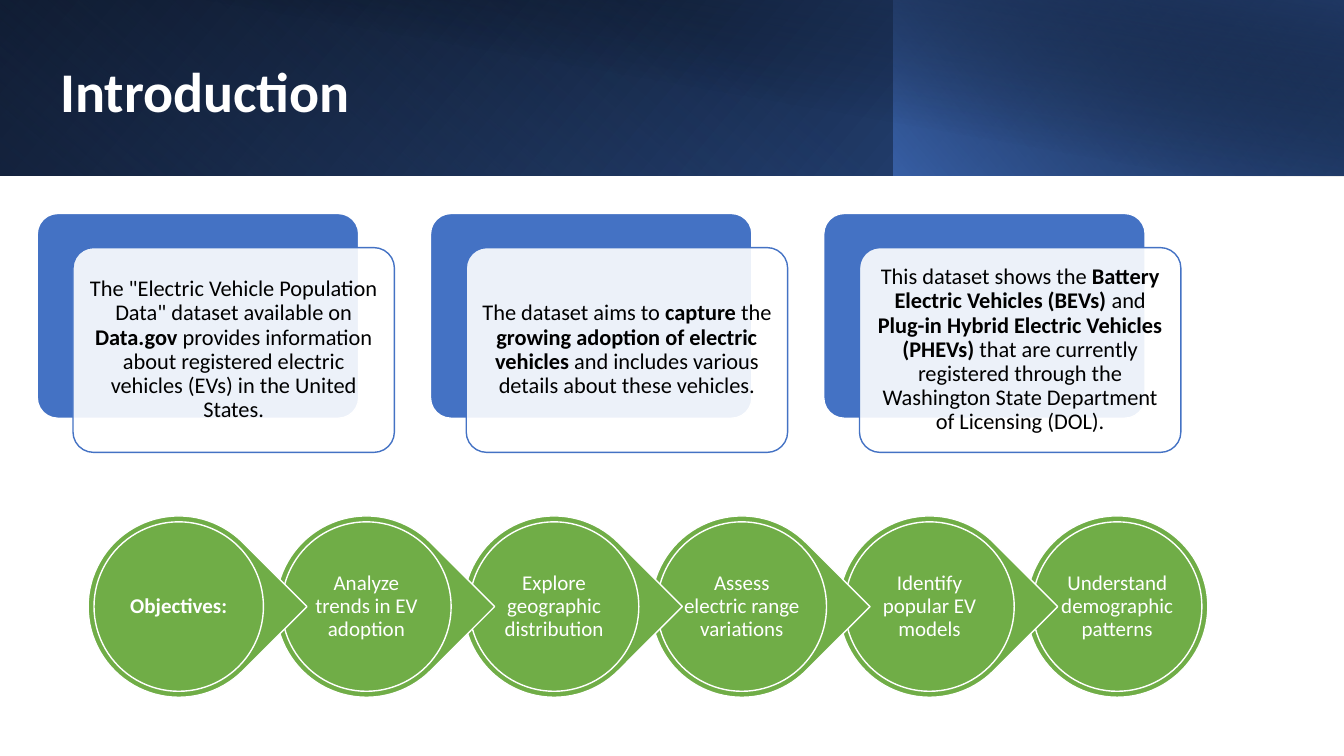
from dataclasses import dataclass

from lxml.etree import SubElement
from pptx import Presentation
from pptx.dml.color import RGBColor
from pptx.enum.shapes import MSO_SHAPE
from pptx.enum.text import MSO_ANCHOR, PP_ALIGN
from pptx.oxml.ns import qn
from pptx.util import Cm, Pt

PAGE_WIDTH, PAGE_HEIGHT = 33.87, 19.05
WHITE, BLACK, BLUE, NAVY, GREEN = "FFFFFF", "000000", "4472C4", "203864", "70AD47"


@dataclass(frozen=True)
class Area:
    left: float
    top: float
    width: float
    height: float

    def lengths(self) -> tuple:
        return Cm(self.left), Cm(self.top), Cm(self.width), Cm(self.height)

    def centred(self, size: float) -> "Area":
        """Return a square of the given size with the same centre."""
        return Area(self.left + (self.width - size) / 2,
                    self.top + (self.height - size) / 2, size, size)


@dataclass(frozen=True)
class Stop:
    position: float
    colour: str
    opacity: int = 100


@dataclass(frozen=True)
class Band:
    area: Area
    angle: int
    stops: tuple[Stop, Stop]
    flipped: bool = True
    rotation: int = 0


@dataclass(frozen=True)
class Span:
    text: str
    bold: bool = False


BANNER = [
    Band(Area(0, 0, PAGE_WIDTH, 4.42), 140, (Stop(0, BLACK), Stop(1, "2F5597"))),
    Band(Area(0, 0, 22.55, 4.42), 230, (Stop(0.2, BLUE, 0), Stop(1, NAVY, 55)), rotation=180),
    Band(Area(22.53, 0, 11.34, 4.42), 220, (Stop(0, BLUE, 66), Stop(1, BLACK, 30))),
    Band(Area(1.28, 0, 32.59, 4.45), 280, (Stop(0.5, BLACK, 0), Stop(0.99, NAVY, 52)),
         flipped=False),
]

CARDS = [
    [Span('The "Electric Vehicle Population Data" dataset available on '),
     Span("Data.gov ", True),
     Span("provides information about registered electric vehicles (EVs) in the United States.")],
    [Span("The dataset aims to "), Span("capture", True), Span(" the "),
     Span("growing adoption of electric vehicles ", True),
     Span("and includes various details about these vehicles.")],
    [Span("This dataset shows the "), Span("Battery Electric Vehicles (BEVs)", True),
     Span(" and "), Span("Plug-in Hybrid Electric Vehicles (PHEVs) ", True),
     Span("that are currently registered through the Washington State Department "
          "of Licensing (DOL).")],
]

OBJECTIVES = [
    Span("Objectives:", True),
    Span("Analyze trends in EV adoption"),
    Span("Explore geographic distribution"),
    Span("Assess electric range variations"),
    Span("Identify popular EV models"),
    Span("Understand demographic patterns"),
]


def colour(value: str) -> RGBColor:
    return RGBColor.from_string(value)


def set_opacity(colour_element, percent: int) -> None:
    if percent < 100:
        SubElement(colour_element, qn("a:alpha")).set("val", str(percent * 1000))


def add_band(page, band: Band) -> None:
    shape = page.shapes.add_shape(MSO_SHAPE.RECTANGLE, *band.area.lengths())
    shape.shadow.inherit = False
    shape.rotation = band.rotation
    if band.flipped:
        next(shape.element.iter(qn("a:xfrm"))).set("flipH", "1")
    shape.fill.gradient()
    shape.fill.gradient_angle = 360 - band.angle
    for target, stop in zip(shape.fill.gradient_stops, band.stops):
        target.position = stop.position
        target.color.rgb = colour(stop.colour)
    for element, stop in zip(list(shape.element.iter(qn("a:srgbClr"))), band.stops):
        set_opacity(element, stop.opacity)
    shape.line.fill.background()


def add_figure(page, kind: MSO_SHAPE, area: Area, fill: str, line: str = WHITE,
               opacity: int = 100, adjustment: float | None = None, rotation: int = 0) -> None:
    shape = page.shapes.add_shape(kind, *area.lengths())
    shape.shadow.inherit = False
    shape.rotation = rotation
    if adjustment is not None:
        shape.adjustments[0] = adjustment
    shape.fill.solid()
    shape.fill.fore_color.rgb = colour(fill)
    set_opacity(next(shape.element.iter(qn("a:srgbClr"))), opacity)
    shape.line.color.rgb = colour(line)
    shape.line.width = Pt(1)


def add_text(page, area: Area, spans: list[Span], *, size: int, text_colour: str = WHITE,
             align: PP_ALIGN = PP_ALIGN.CENTER, inset: float = 0.05) -> None:
    box = page.shapes.add_textbox(*area.lengths())
    frame = box.text_frame
    frame.word_wrap = True
    frame.vertical_anchor = MSO_ANCHOR.MIDDLE
    frame.margin_left = frame.margin_right = Cm(inset)
    frame.margin_top = frame.margin_bottom = Cm(inset)
    para = frame.paragraphs[0]
    para.alignment = align
    para.line_spacing = 0.9
    for span in spans:
        run = para.add_run()
        run.text = span.text
        run.font.name = "Calibri"
        run.font.size = Pt(size)
        run.font.bold = span.bold
        run.font.color.rgb = colour(text_colour)


def add_card(page, index: int, spans: list[Span]) -> None:
    left, top, width, height = 0.94 + index * 9.91, 5.38, 8.1, 5.16
    front = Area(left + 0.9, top + 0.86, width, height)
    label = Area(front.left + 0.15, front.top + 0.15, width - 0.3, height - 0.3)
    add_figure(page, MSO_SHAPE.ROUNDED_RECTANGLE, Area(left, top, width, height), BLUE,
               adjustment=0.1)
    add_figure(page, MSO_SHAPE.ROUNDED_RECTANGLE, front, WHITE, BLUE, opacity=90,
               adjustment=0.1)
    add_text(page, label, spans, size=16, text_colour=BLACK, inset=0.17)


def add_objective(page, index: int, span: Span) -> None:
    outer = Area(2.22 + index * 4.73, 13, 4.57, 4.57)
    if index == len(OBJECTIVES) - 1:
        add_figure(page, MSO_SHAPE.OVAL, outer, GREEN)
    else:
        add_figure(page, MSO_SHAPE.TEAR, outer, GREEN, adjustment=1, rotation=45)
    add_figure(page, MSO_SHAPE.OVAL, outer.centred(4.27), GREEN)
    add_text(page, outer.centred(3.05), [span], size=15)


def main() -> None:
    deck = Presentation()
    deck.slide_width, deck.slide_height = Cm(PAGE_WIDTH), Cm(PAGE_HEIGHT)
    page = deck.slides.add_slide(deck.slide_layouts[6])
    for band in BANNER:
        add_band(page, band)
    add_text(page, Area(1.27, 0.94, 27.48, 2.87), [Span("Introduction", True)], size=40,
             align=PP_ALIGN.LEFT, inset=0.25)
    for index, spans in enumerate(CARDS):
        add_card(page, index, spans)
    # Right to left, so that each tip lies over the next circle.
    for index, span in reversed(list(enumerate(OBJECTIVES))):
        add_objective(page, index, span)
    deck.save("out.pptx")


if __name__ == "__main__":
    main()
